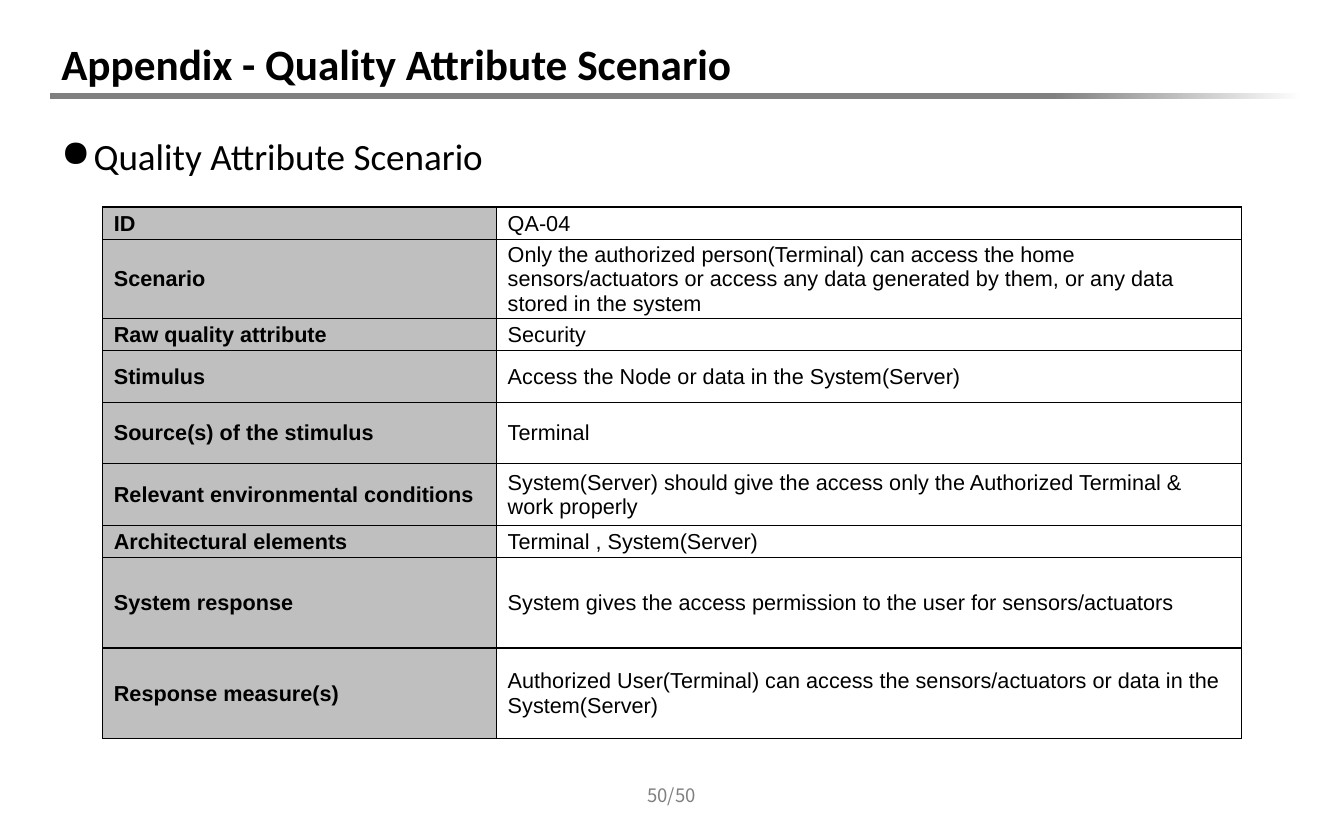
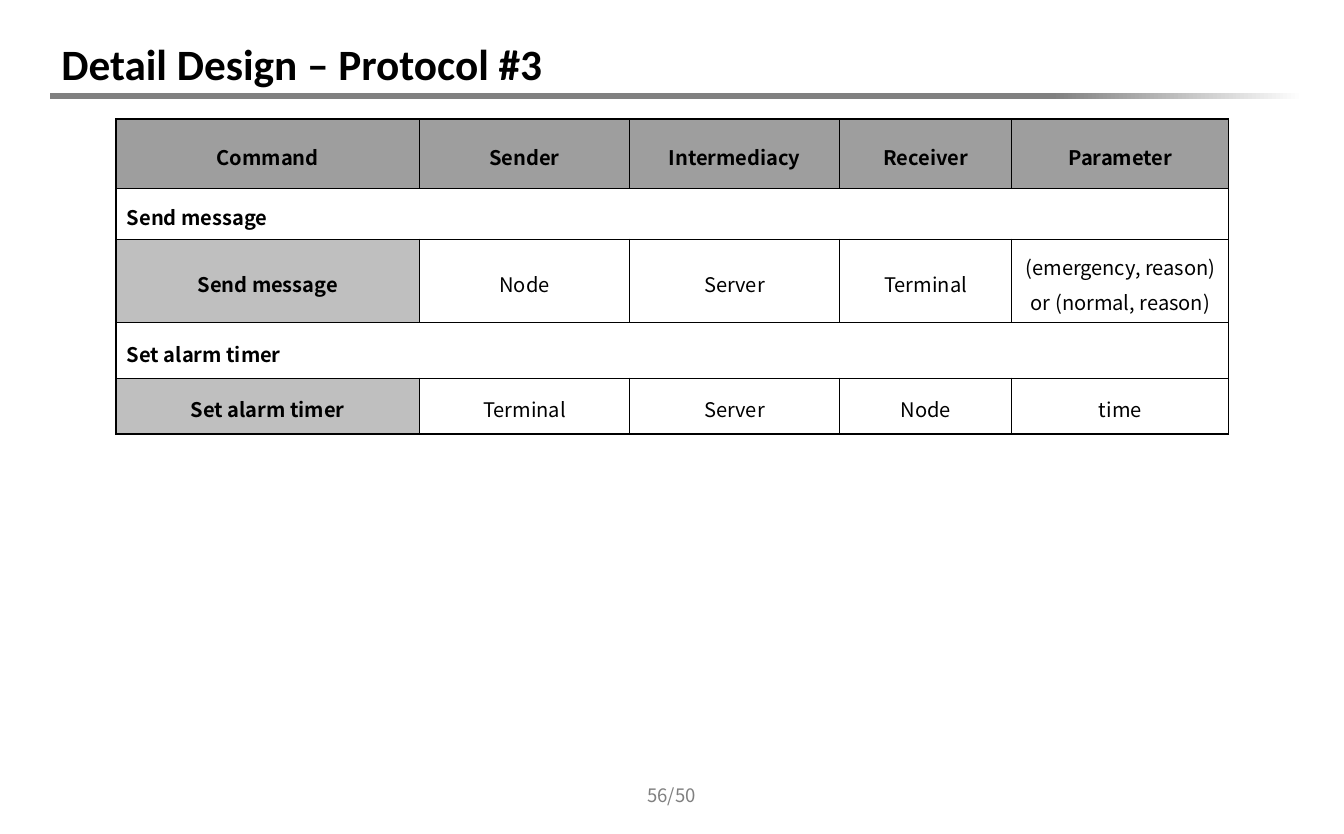
"""Build two slides: a quality attribute scenario and a protocol table."""
import copy
import lxml.etree
import pptx
import pptx.dml.color
import pptx.enum.shapes
import pptx.enum.text
import pptx.oxml.ns
import pptx.util

Pt = pptx.util.Pt
qn = pptx.oxml.ns.qn
Align = pptx.enum.text.PP_ALIGN
Anchor = pptx.enum.text.MSO_ANCHOR
HUES = {"ink": "000000", "paper": "FFFFFF", "rule": "808080", "head": "9E9E9E", "label": "BFBFBF"}
RGB = {name: pptx.dml.color.RGBColor.from_string(hue) for name, hue in HUES.items()}
SANS, BODY, CELL = "Noto Sans CJK KR", "Calibri", "Arial"


def write(para, text, face, size, bold=False, hue="ink", align=Align.LEFT):
    """Add one styled run to a paragraph."""
    para.alignment = align
    run = para.add_run()
    run.text = text
    run.font.name, run.font.size, run.font.bold = face, Pt(size), bold
    run.font.color.rgb = RGB[hue]


def grid(slide, left, top, cols, highs, rows, face, size, pads, head, align, space):
    """Draw a ruled table; a row with one entry spans every column."""
    frame = slide.shapes.add_table(len(rows), len(cols), Pt(left), Pt(top), Pt(sum(cols)), Pt(sum(highs)))
    table = frame.table
    table.first_row = table.horz_banding = False
    for col, wide in zip(table.columns, cols):
        col.width = Pt(wide)
    for r, (row, high) in enumerate(zip(rows, highs)):
        table.rows[r].height = Pt(high)
        band = len(row) == 1
        for c in range(len(cols)):
            cell = table.cell(r, c)
            cell.vertical_anchor = Anchor.MIDDLE
            cell.margin_left = cell.margin_right = Pt(7.2)
            cell.margin_top, cell.margin_bottom = Pt(pads[0]), Pt(pads[1])
            props = cell._tc.get_or_add_tcPr()
            for side in ("lnL", "lnR", "lnT", "lnB"):
                line = lxml.etree.SubElement(props, qn("a:" + side), w=str(Pt(1)))
                fill = lxml.etree.SubElement(line, qn("a:solidFill"))
                lxml.etree.SubElement(fill, qn("a:srgbClr"), val=HUES["ink"])
            shade = "head" if head and r == 0 else "label" if c == 0 and not band else "paper"
            cell.fill.solid()
            cell.fill.fore_color.rgb = RGB[shade]
            if c >= len(row):
                continue
            for n, text in enumerate(row[c].split("\n")):
                para = cell.text_frame.add_paragraph() if n else cell.text_frame.paragraphs[0]
                para.line_spacing = space
                write(para, text, face, size, band or shade != "paper", align=Align.LEFT if band else align)
        if band:
            table.cell(r, 0).merge(table.cell(r, len(cols) - 1))


deck = pptx.Presentation()
deck.slide_width, deck.slide_height = Pt(870), Pt(540)
pages = []
for name, count in (("Appendix - Quality Attribute Scenario", "50/50"), ("Detail Design – Protocol #3", "56/50")):
    slide = deck.slides.add_slide(deck.slide_layouts[5])
    pages.append(slide)

    bar = slide.shapes.add_shape(
        pptx.enum.shapes.MSO_SHAPE.FLOWCHART_PROCESS, Pt(32.5), Pt(60.5), Pt(811), Pt(3.6))
    bar.shadow.inherit = False
    bar.line.fill.background()
    bar.fill.gradient()
    bar.fill.gradient_angle = 0
    stops = bar._element.spPr.find(".//" + qn("a:gsLst"))
    stops.append(copy.deepcopy(stops[-1]))
    for stop, (place, hue) in zip(bar.fill.gradient_stops, ((0, "rule"), (0.8, "rule"), (1, "paper"))):
        stop.position = place
        stop.color.rgb = RGB[hue]

    title = slide.shapes.title
    title.left, title.top, title.width, title.height = Pt(32.5), Pt(21.5), Pt(811), Pt(39)
    title.text_frame.auto_size = pptx.enum.text.MSO_AUTO_SIZE.NONE
    title.text_frame.vertical_anchor = Anchor.MIDDLE
    write(title.text_frame.paragraphs[0], name, BODY, 28, True)

    foot = slide.shapes.add_textbox(Pt(395.5), Pt(500.5), Pt(78.5), Pt(29)).text_frame
    foot.word_wrap = True
    foot.vertical_anchor = Anchor.MIDDLE
    write(foot.paragraphs[0], count, SANS, 12, hue="rule", align=Align.CENTER)

first, second = pages
body = first.shapes.add_textbox(Pt(32.5), Pt(83), Pt(811), Pt(408)).text_frame
body.word_wrap = True
point = body.paragraphs[0]
props = point._p.get_or_add_pPr()
props.set("marL", str(Pt(21)))
props.set("indent", str(-Pt(21)))
lxml.etree.SubElement(props, qn("a:buChar"), char="●")
write(point, "Quality Attribute Scenario", BODY, 24)

facts = (
    ("ID", "QA-04"),
    ("Scenario", "Only the authorized person(Terminal) can access the home sensors/actuators "
     "or access any data generated by them, or any data stored in the system"),
    ("Raw quality attribute", "Security"),
    ("Stimulus", "Access the Node or data in the System(Server)"),
    ("Source(s) of the stimulus", "Terminal"),
    ("Relevant environmental conditions",
     "System(Server) should give the access only the Authorized Terminal & work properly"),
    ("Architectural elements", "Terminal , System(Server)"),
    ("System response", "System gives the access permission to the user for sensors/actuators"),
    ("Response measure(s)",
     "Authorized User(Terminal) can access the sensors/actuators or data in the System(Server)"),
)
grid(first, 66.5, 134, (255, 482), (21, 48.5, 21, 33.5, 39.5, 40, 21, 58.5, 58.5), facts,
     CELL, 14, (0.7, 0), False, Align.LEFT, 1.0)

calls = (
    ("Command", "Sender", "Intermediacy", "Receiver", "Parameter"),
    ("Send message",),
    ("Send message", "Node", "Server", "Terminal", "(emergency, reason)\nor (normal, reason)"),
    ("Set alarm timer",),
    ("Set alarm timer", "Terminal", "Server", "Node", "time"),
)
grid(second, 75, 77, (196.5, 136, 136, 111.5, 140.5), (45, 33, 54, 36, 36), calls,
     SANS, 13, (5, 5), True, Align.CENTER, 1.2)

deck.save("out.pptx")
